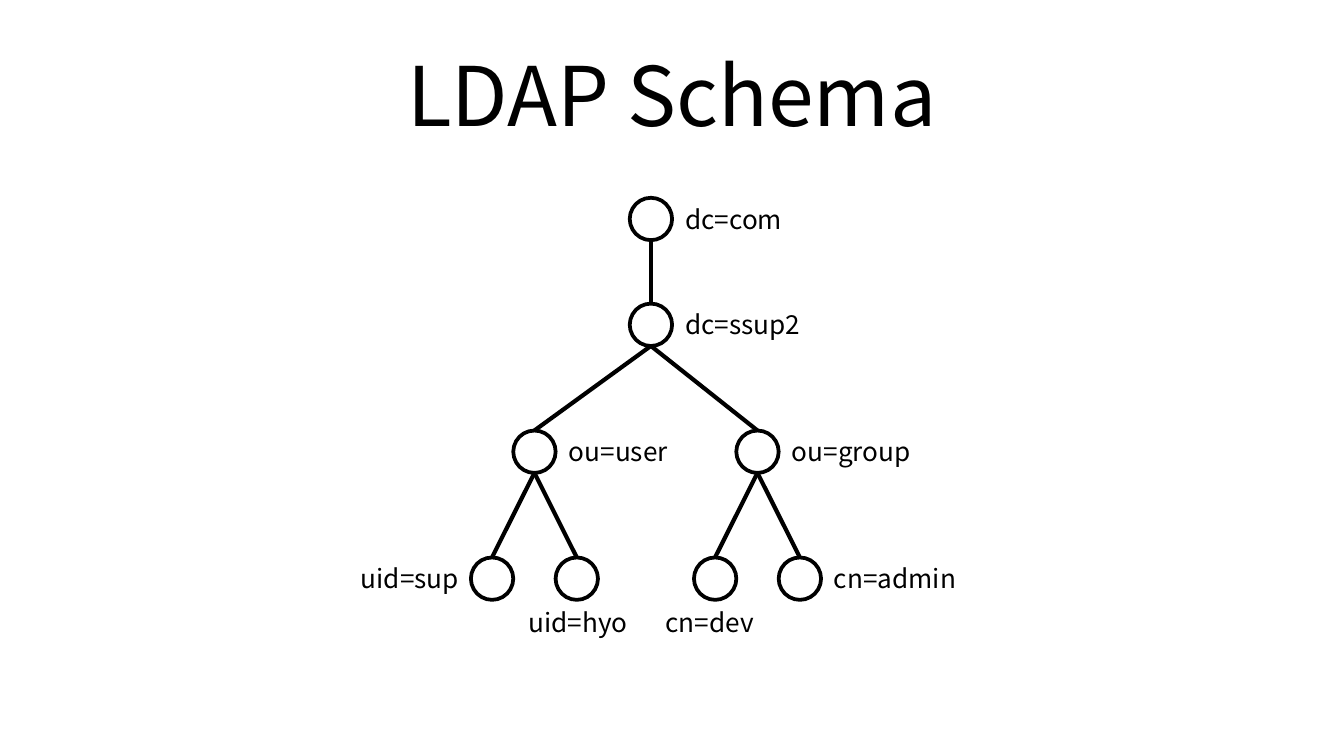
from dataclasses import dataclass
from typing import Optional

from pptx import Presentation
from pptx.dml.color import RGBColor
from pptx.enum.shapes import MSO_CONNECTOR, MSO_SHAPE
from pptx.enum.text import MSO_ANCHOR, MSO_AUTO_SIZE, PP_ALIGN
from pptx.oxml.ns import qn
from pptx.util import Pt
from lxml.etree import SubElement

COLORS = {"ink": "000000", "paper": "FFFFFF"}
FONT = "Noto Sans CJK KR"
DIAMETER = 22.7
RADIUS = DIAMETER / 2
LABEL_HEIGHT = 24.2
WIDE = 147
# Centres of the tree's levels and branches
ROW_Y = (117.3, 174, 242, 310)
ROOT_X, USER_X, GROUP_X = 348.7, 286.3, 405.8


@dataclass
class Label:
    """Text box placed relative to the centre of its node."""
    text: str
    dx: float = RADIUS
    dy: float = -LABEL_HEIGHT / 2
    width: float = WIDE
    align: PP_ALIGN = PP_ALIGN.LEFT


@dataclass
class Node:
    x: float
    level: int
    label: Label
    parent: Optional[int] = None

    @property
    def y(self) -> float:
        return ROW_Y[self.level]


CENTER = PP_ALIGN.CENTER
NODES = [
    Node(ROOT_X, 0, Label("dc=com")),
    Node(ROOT_X, 1, Label("dc=ssup2"), 0),
    Node(USER_X, 2, Label("ou=user"), 1),
    Node(GROUP_X, 2, Label("ou=group"), 1),
    Node(USER_X - DIAMETER, 3, Label("uid=sup", -80.7, width=73.4, align=CENTER), 2),
    Node(USER_X + DIAMETER, 3, Label("uid=hyo", -36, RADIUS, 73.4, CENTER), 2),
    Node(GROUP_X - DIAMETER, 3, Label("cn=dev", -45.4, RADIUS, 85, CENTER), 3),
    Node(GROUP_X + DIAMETER, 3, Label("cn=admin", 8.5, width=85, align=CENTER), 3),
]


def rgb(name: str) -> RGBColor:
    return RGBColor.from_string(COLORS[name])


def set_text(tf, text: str, size: float, align: PP_ALIGN) -> None:
    tf.text = text
    p = tf.paragraphs[0]
    p.alignment = align
    font = p.runs[0].font
    font.name, font.size = FONT, Pt(size)
    font.color.rgb = rgb("ink")


def draw_circle(s, node: Node):
    sp = s.shapes.add_shape(MSO_SHAPE.OVAL, Pt(node.x - RADIUS), Pt(node.y - RADIUS),
                            Pt(DIAMETER), Pt(DIAMETER))
    sp.shadow.inherit = False
    sp.fill.solid()
    sp.fill.fore_color.rgb = rgb("paper")
    sp.line.color.rgb = rgb("ink")
    sp.line.width = Pt(2)
    return sp


def draw_branch(s, parent: Node, child: Node, child_circle) -> None:
    line = s.shapes.add_connector(MSO_CONNECTOR.STRAIGHT,
                                  Pt(parent.x), Pt(parent.y + RADIUS),
                                  Pt(child.x), Pt(child.y - RADIUS))
    line.end_connect(child_circle, 0)
    line.line.color.rgb = rgb("ink")
    line.line.width = Pt(2.25)
    SubElement(line._element.spPr, qn("a:effectLst"))


def draw_label(s, node: Node) -> None:
    label = node.label
    sp = s.shapes.add_textbox(Pt(node.x + label.dx), Pt(node.y + label.dy),
                              Pt(label.width), Pt(LABEL_HEIGHT))
    tf = sp.text_frame
    tf.word_wrap = True
    tf.auto_size = MSO_AUTO_SIZE.SHAPE_TO_FIT_TEXT
    set_text(tf, label.text, 14, label.align)


def main() -> None:
    prs = Presentation()
    prs.slide_width, prs.slide_height = Pt(720), Pt(405)
    s = prs.slides.add_slide(prs.slide_layouts[5])

    title = s.shapes.title
    title.left, title.top, title.width, title.height = Pt(36), Pt(16.5), Pt(648), Pt(67.5)
    title.text_frame.vertical_anchor = MSO_ANCHOR.MIDDLE
    set_text(title.text_frame, "LDAP Schema", 44, CENTER)

    circles = [draw_circle(s, node) for node in NODES]
    for node, circle in zip(NODES, circles):
        if node.parent is not None:
            draw_branch(s, NODES[node.parent], node, circle)
    for node in NODES:
        draw_label(s, node)

    prs.save("out.pptx")


if __name__ == "__main__":
    main()
